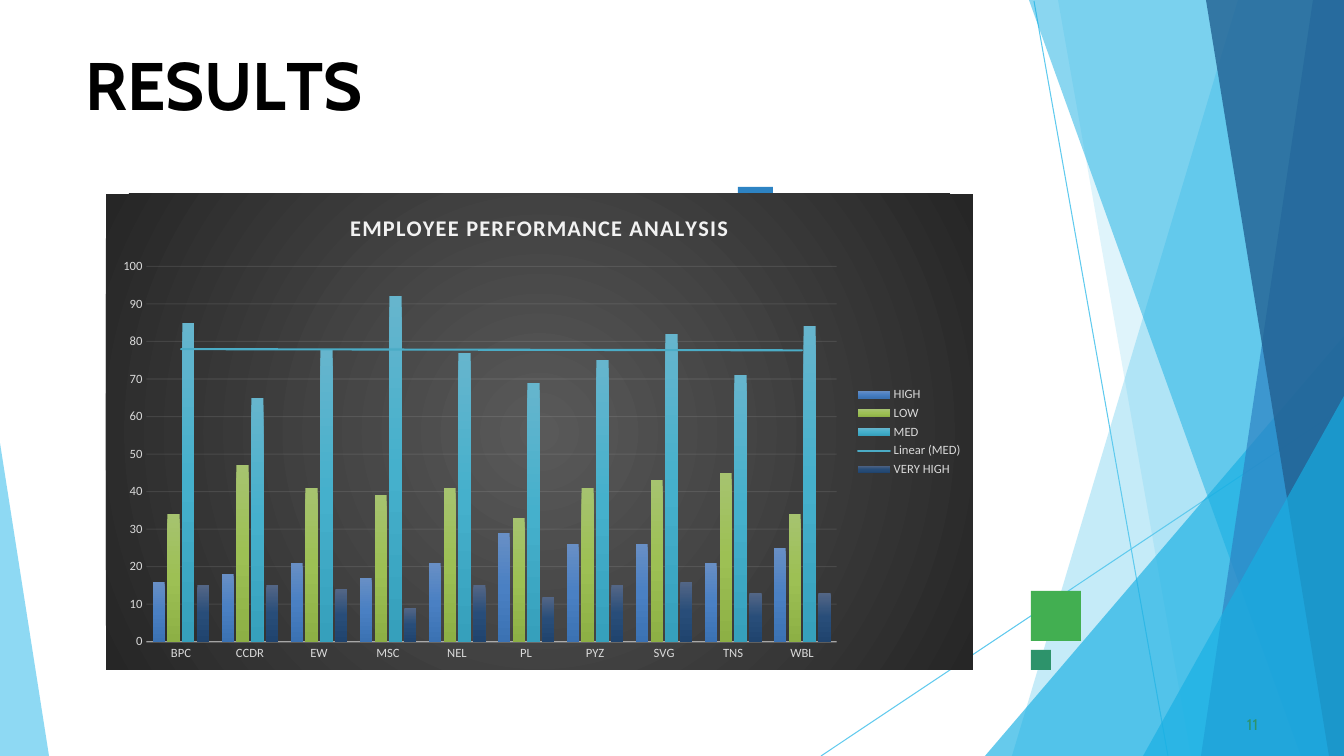
from dataclasses import dataclass

from lxml.etree import SubElement
from pptx import Presentation
from pptx.chart.data import CategoryChartData
from pptx.dml.color import RGBColor
from pptx.enum.chart import XL_CHART_TYPE, XL_LEGEND_POSITION, XL_TICK_MARK
from pptx.enum.shapes import MSO_CONNECTOR, MSO_SHAPE
from pptx.enum.text import MSO_ANCHOR, MSO_AUTO_SIZE, PP_ALIGN
from pptx.oxml import parse_xml
from pptx.oxml.ns import nsdecls, qn
from pptx.util import Emu, Pt

EMU_PER_PX = 914400 / 100.8
WIDTH, HEIGHT = 1344, 756


@dataclass(frozen=True)
class Theme:
    heading_font: str = "Cabin"
    chart_font: str = "Calibri"
    title_size: float = 48
    number_size: float = 11
    chart_title_size: float = 16
    label_size: float = 9
    black: str = "000000"
    sky: str = "5FCAEE"
    cyan: str = "17AFE3"
    blue: str = "2D83C3"
    navy: str = "226192"
    green: str = "42AF51"
    teal: str = "2D936B"
    label: str = "D9D9D9"
    light: str = "F2F2F2"
    trend: str = "4BACC6"
    panel: tuple = ("595959", "262626")


THEME = Theme()

# Opacity in percent, colour, corner points
FACETS = [
    (36, THEME.sky, [(1344, 0), (1238, 0), (1012, 756), (1344, 756)]),
    (20, THEME.sky, [(1344, 0), (1058, 0), (1191, 756), (1344, 756)]),
    (66, THEME.cyan, [(1344, 336), (985, 756), (1344, 756)]),
    (50, THEME.cyan, [(1344, 0), (1029, 0), (1301, 756), (1344, 756)]),
    (70, THEME.blue, [(1344, 0), (1313, 0), (1201, 756), (1344, 756)]),
    (80, THEME.navy, [(1344, 0), (1206, 0), (1329, 756), (1344, 756)]),
    (66, THEME.cyan, [(1344, 396), (1143, 756), (1344, 756)]),
    (70, THEME.sky, [(0, 443), (0, 756), (49, 756)]),
]
RAYS = [(1034, 1, 1168, 756), (1344, 407, 821, 756)]
SQUARES = [
    (1031, 591, 50, THEME.green),
    (738, 187, 35, THEME.blue),
    (1031, 650, 20, THEME.teal),
]
# Text and letter spacing in points
TITLE_RUNS = [("R", 0), ("E", -0.4), ("S", 0.1), ("U", -0.3), ("L", -4), ("TS", 0)]
CATEGORIES = ["BPC", "CCDR", "EW", "MSC", "NEL", "PL", "PYZ", "SVG", "TNS", "WBL"]
RATINGS = {
    "HIGH": ([16, 18, 21, 17, 21, 29, 26, 26, 21, 25], ("688FC5", "4A80C3", "3B72B3")),
    "LOW": ([34, 47, 41, 39, 41, 33, 41, 43, 45, 34], ("A6C36F", "9DC054", "8DB045")),
    "MED": ([85, 65, 78, 92, 77, 69, 75, 82, 71, 84], ("66B5CD", "45B0CC", "36A0BC")),
    "VERY HIGH": ([15, 15, 14, 9, 15, 12, 15, 16, 13, 13], ("536686", "284D79", "20446E")),
}


def px(*lengths):
    return [Emu(round(length * EMU_PER_PX)) for length in lengths]


def apply(target, values):
    for name, value in values.items():
        setattr(target, name, value)


def format_font(font, family, size, color, bold=False):
    apply(font, {"name": family, "size": Pt(size), "bold": bold})
    font.color.rgb = RGBColor.from_string(color)


def format_line(line, color, width):
    line.width = Pt(width)
    line.fill.solid()
    line.fill.fore_color.rgb = RGBColor.from_string(color)


def set_opacity(element, percent):
    for color in element.iter(qn("a:srgbClr")):
        SubElement(color, qn("a:alpha"), val=str(percent * 1000))


def fill_shape(shape, color):
    shape.shadow.inherit = False
    shape.fill.solid()
    shape.fill.fore_color.rgb = RGBColor.from_string(color)
    shape.line.fill.background()


def gradient(colors, direction):
    """Return a gradFill with evenly spaced stops; direction is its lin or path XML."""
    step = 100000 // (len(colors) - 1)
    stops = "".join(
        f'<a:gs pos="{index * step}"><a:srgbClr val="{color}"/></a:gs>'
        for index, color in enumerate(colors)
    )
    return parse_xml(
        f'<a:gradFill {nsdecls("a")}><a:gsLst>{stops}</a:gsLst>{direction}</a:gradFill>'
    )


def add_ray(slide, ends):
    ray = slide.shapes.add_connector(MSO_CONNECTOR.STRAIGHT, *px(*ends))
    format_line(ray.line, THEME.sky, 0.75)
    SubElement(ray._element.spPr, qn("a:effectLst"))


def add_facet(slide, opacity, color, points):
    builder = slide.shapes.build_freeform(*points[0], scale=EMU_PER_PX)
    builder.add_line_segments(points[1:], close=True)
    facet = builder.convert_to_shape()
    fill_shape(facet, color)
    set_opacity(facet._element.spPr, opacity)


def add_square(slide, left, top, side, color):
    square = slide.shapes.add_shape(MSO_SHAPE.RECTANGLE, *px(left, top, side, side))
    fill_shape(square, color)


def write_text(shape, box, inset, space_before, runs, font_values):
    """Place a text shape and fill it with runs of (text, letter spacing)."""
    apply(shape, dict(zip(("left", "top", "width", "height"), px(*box))))
    left, top, none = px(inset, 1, 0)
    frame = shape.text_frame
    apply(frame, {
        "margin_left": left, "margin_top": top, "margin_right": none,
        "margin_bottom": none, "vertical_anchor": MSO_ANCHOR.TOP,
        "auto_size": MSO_AUTO_SIZE.NONE, "word_wrap": True,
    })
    paragraph = frame.paragraphs[0]
    apply(paragraph, {"alignment": PP_ALIGN.LEFT, "space_before": Pt(space_before)})
    for text, spacing in runs:
        run = paragraph.add_run()
        run.text = text
        format_font(run.font, THEME.heading_font, *font_values)
        run.font._element.set("spc", str(round(spacing * 100)))


def add_trend_line(series):
    trend = parse_xml(
        f'<c:trendline {nsdecls("c", "a")}><c:spPr><a:ln w="{Pt(1.5)}" cap="rnd">'
        f'<a:solidFill><a:srgbClr val="{THEME.trend}"/></a:solidFill></a:ln></c:spPr>'
        '<c:trendlineType val="linear"/><c:dispRSqr val="0"/><c:dispEq val="0"/>'
        '</c:trendline>'
    )
    series._element.find(qn("c:cat")).addprevious(trend)


def format_axes(chart):
    for axis in (chart.category_axis, chart.value_axis):
        apply(axis, {"major_tick_mark": XL_TICK_MARK.NONE,
                     "minor_tick_mark": XL_TICK_MARK.NONE})
        format_font(axis.tick_labels.font, THEME.chart_font, THEME.label_size, THEME.label)
    base_line = chart.category_axis.format.line
    format_line(base_line, THEME.light, 1)
    set_opacity(chart.category_axis._element.find(qn("c:spPr")), 54)
    values = chart.value_axis
    apply(values, {"minimum_scale": 0, "maximum_scale": 100, "major_unit": 10,
                   "has_major_gridlines": True})
    values.format.line.fill.background()
    format_line(values.major_gridlines.format.line, THEME.light, 0.75)
    set_opacity(values._element.find(qn("c:majorGridlines")), 10)


def add_performance_chart(slide):
    data = CategoryChartData()
    data.categories = CATEGORIES
    for name, (values, _) in RATINGS.items():
        data.add_series(name, values)
    chart = slide.shapes.add_chart(
        XL_CHART_TYPE.COLUMN_CLUSTERED, *px(106, 194, 867, 476), data).chart
    format_font(chart.font, THEME.chart_font, 10, THEME.black)

    panel = parse_xml(f'<c:spPr {nsdecls("c", "a")}><a:ln><a:noFill/></a:ln></c:spPr>')
    panel.insert(0, gradient(THEME.panel, (
        '<a:path path="circle"><a:fillToRect l="50000" t="50000" r="50000" b="50000"/>'
        '</a:path>')))
    chart._chartSpace.find(qn("c:chart")).addnext(panel)

    chart.has_title = True
    title = chart.chart_title.text_frame.paragraphs[0].add_run()
    title.text = "EMPLOYEE PERFORMANCE ANALYSIS"
    format_font(title.font, THEME.chart_font, THEME.chart_title_size, THEME.light, True)
    title.font._element.set("spc", "100")

    chart.has_legend = True
    apply(chart.legend, {"position": XL_LEGEND_POSITION.RIGHT, "include_in_layout": False})
    format_font(chart.legend.font, THEME.chart_font, THEME.label_size, THEME.label)
    format_axes(chart)

    plot = chart.plots[0]
    apply(plot, {"gap_width": 100, "overlap": -24, "vary_by_categories": False})
    for series in plot.series:
        series.format.line.fill.background()
        colors = RATINGS[series.name][1]
        series._element.get_or_add_spPr().insert(
            0, gradient(colors, '<a:lin ang="5400000" scaled="0"/>'))
        if series.name == "MED":
            add_trend_line(series)


def main():
    presentation = Presentation()
    apply(presentation, dict(zip(("slide_width", "slide_height"), px(WIDTH, HEIGHT))))
    slide = presentation.slides.add_slide(presentation.slide_layouts[5])
    for ends in RAYS:
        add_ray(slide, ends)
    for facet in FACETS:
        add_facet(slide, *facet)
    for square in SQUARES:
        add_square(slide, *square)
    write_text(slide.shapes.title, (84, 42, 401, 82), 1, 1.1, TITLE_RUNS,
               (THEME.title_size, THEME.black, True))
    number = slide.shapes.add_textbox(*px(1243, 714, 25, 21))
    write_text(number, (1243, 714, 25, 21), 4, 0.6, [("11", 0.1)],
               (THEME.number_size, THEME.teal))
    add_performance_chart(slide)
    presentation.save("out.pptx")


if __name__ == "__main__":
    main()
